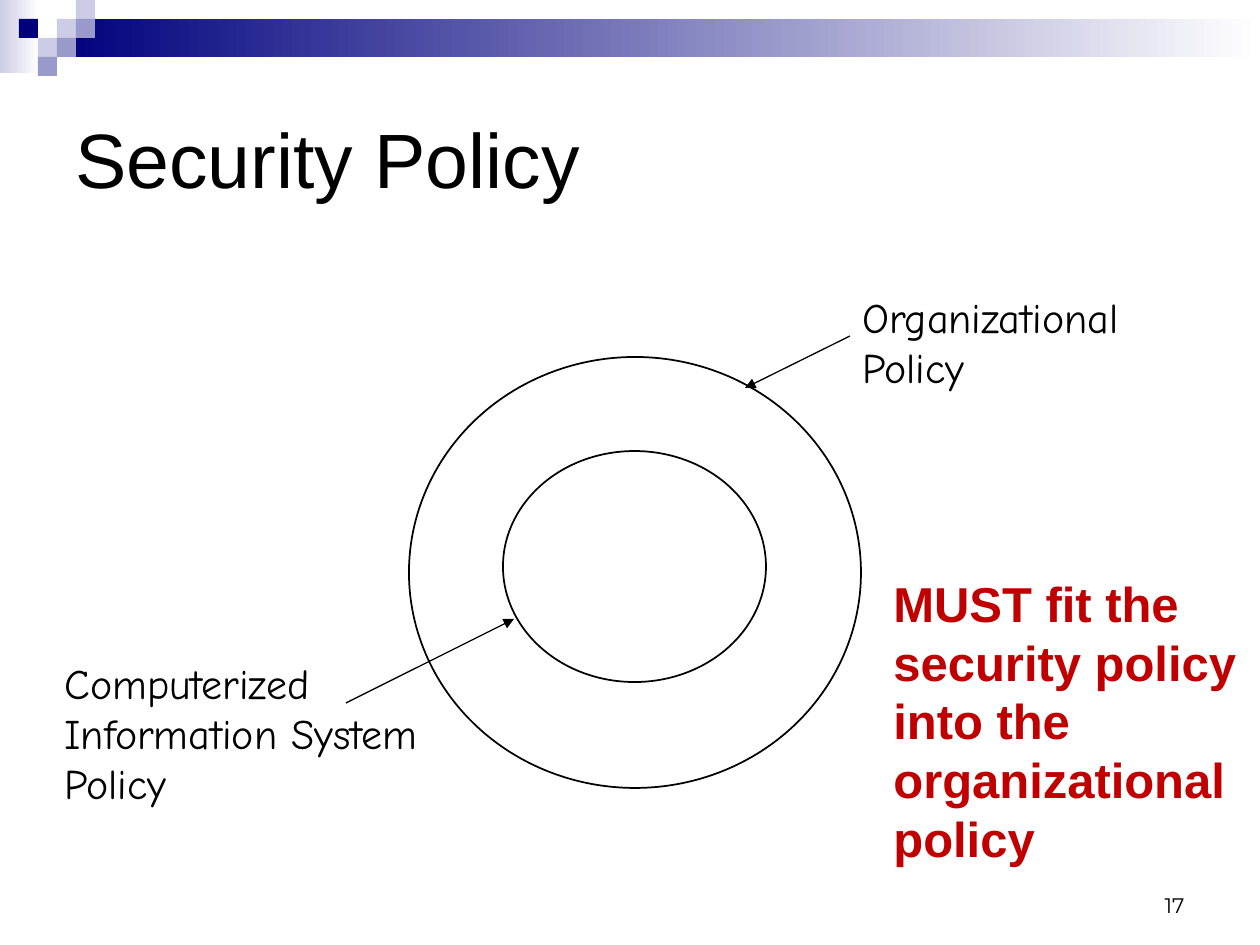
import pptx
import pptx.util
import pptx.dml.color
import pptx.enum.shapes
import pptx.enum.text
import pptx.oxml
import pptx.oxml.ns

RGB = pptx.dml.color.RGBColor
SHAPE = pptx.enum.shapes.MSO_SHAPE
ANCHOR = pptx.enum.text.MSO_ANCHOR
ALIGN = pptx.enum.text.PP_ALIGN
BLACK = RGB(0x00, 0x00, 0x00)
WHITE = RGB(0xFF, 0xFF, 0xFF)
NAVY = RGB(0x00, 0x00, 0x7D)
LILAC = RGB(0xCC, 0xCC, 0xE6)
VIOLET = RGB(0x99, 0x99, 0xCC)
RED = RGB(0xC0, 0x00, 0x00)
DPI = 126
CELL = 19


def px(n):
    return pptx.util.Emu(round(n * 914400 / DPI))


def add_form(slide, kind, box):
    form = slide.shapes.add_shape(kind, *map(px, box))
    form.shadow.inherit = False
    form.line.fill.background()
    return form


def add_block(slide, box, color):
    block = add_form(slide, SHAPE.RECTANGLE, box)
    block.fill.solid()
    block.fill.fore_color.rgb = color


def add_fade(slide, box, color):
    fade = add_form(slide, SHAPE.RECTANGLE, box)
    fade.fill.gradient()
    fade.fill.gradient_angle = 0
    for stop, tint in zip(fade.fill.gradient_stops, (color, WHITE)):
        stop.color.rgb = tint


def add_ring(slide, box):
    ring = add_form(slide, SHAPE.OVAL, box)
    ring.fill.background()
    ring.line.color.rgb = BLACK
    ring.line.width = pptx.util.Pt(1)


def add_arrow(slide, start, end):
    kind = pptx.enum.shapes.MSO_CONNECTOR.STRAIGHT
    arrow = slide.shapes.add_connector(kind, *map(px, start + end))
    arrow.line.color.rgb = BLACK
    arrow.line.width = pptx.util.Pt(0.75)
    line = arrow.line._get_or_add_ln()
    head = pptx.oxml.parse_xml(
        '<a:tailEnd %s type="triangle"/>' % pptx.oxml.ns.nsdecls("a"))
    line.append(head)
    flat = pptx.oxml.parse_xml(
        "<a:effectLst %s/>" % pptx.oxml.ns.nsdecls("a"))
    arrow._element.spPr.append(flat)


def add_text(slide, box, lines, font, size, color=BLACK, bold=False,
             anchor=ANCHOR.TOP, align=ALIGN.LEFT):
    frame = slide.shapes.add_textbox(*map(px, box)).text_frame
    frame.word_wrap = True
    frame.vertical_anchor = anchor
    for i, line in enumerate(lines):
        para = frame.add_paragraph() if i else frame.paragraphs[0]
        para.alignment = align
        run = para.add_run()
        run.text = line
        run.font.name = font
        run.font.size = pptx.util.Pt(size)
        run.font.bold = bold
        run.font.color.rgb = color


def add_banner(slide, box):
    left, top, width, height = box
    add_fade(slide, (left, top, 39, height), LILAC)
    add_fade(slide, (left + 3 * CELL, top + CELL,
                     width - 3 * CELL, 2 * CELL), NAVY)
    cells = [(3, 1, LILAC), (4, 0, LILAC), (4, 1, VIOLET), (2, 2, LILAC),
             (1, 1, NAVY), (3, 2, VIOLET), (2, 3, VIOLET)]
    for col, row, color in cells:
        spot = (left + col * CELL, top + row * CELL, CELL, CELL)
        add_block(slide, spot, color)


def add_rings(slide, box):
    left, top, width, height = box
    add_ring(slide, box)
    add_ring(slide, (left + 94, top + 94, 263, 231))
    add_text(slide, (left + 441, top - 72, 321, 113),
             ["Organizational", "Policy"], "Comic Neue", 24)
    add_text(slide, (left - 357, top + 294, 423, 164),
             ["Computerized", "Information System", "Policy"],
             "Comic Neue", 24)
    add_arrow(slide, (left + 441, top - 21), (left + 336, top + 31))
    add_arrow(slide, (left - 63, top + 346), (left + 105, top + 262))


def main():
    deck = pptx.Presentation()
    deck.slide_width = px(1260)
    deck.slide_height = px(945)
    slide = deck.slides.add_slide(deck.slide_layouts[6])
    add_banner(slide, (0, 0, 1260, 73))
    add_text(slide, (903, 861, 294, 63), ["17"], "Montserrat", 12,
             anchor=ANCHOR.BOTTOM, align=ALIGN.RIGHT)
    add_text(slide, (63, 63, 1134, 189), ["Security Policy"], "Arial", 44,
             anchor=ANCHOR.MIDDLE)
    add_rings(slide, (409, 357, 452, 431))
    add_text(slide, (881, 567, 399, 310),
             ["MUST fit the security policy into the organizational policy"],
             "Arial", 28, RED, True)
    deck.save("out.pptx")


if __name__ == "__main__":
    main()
